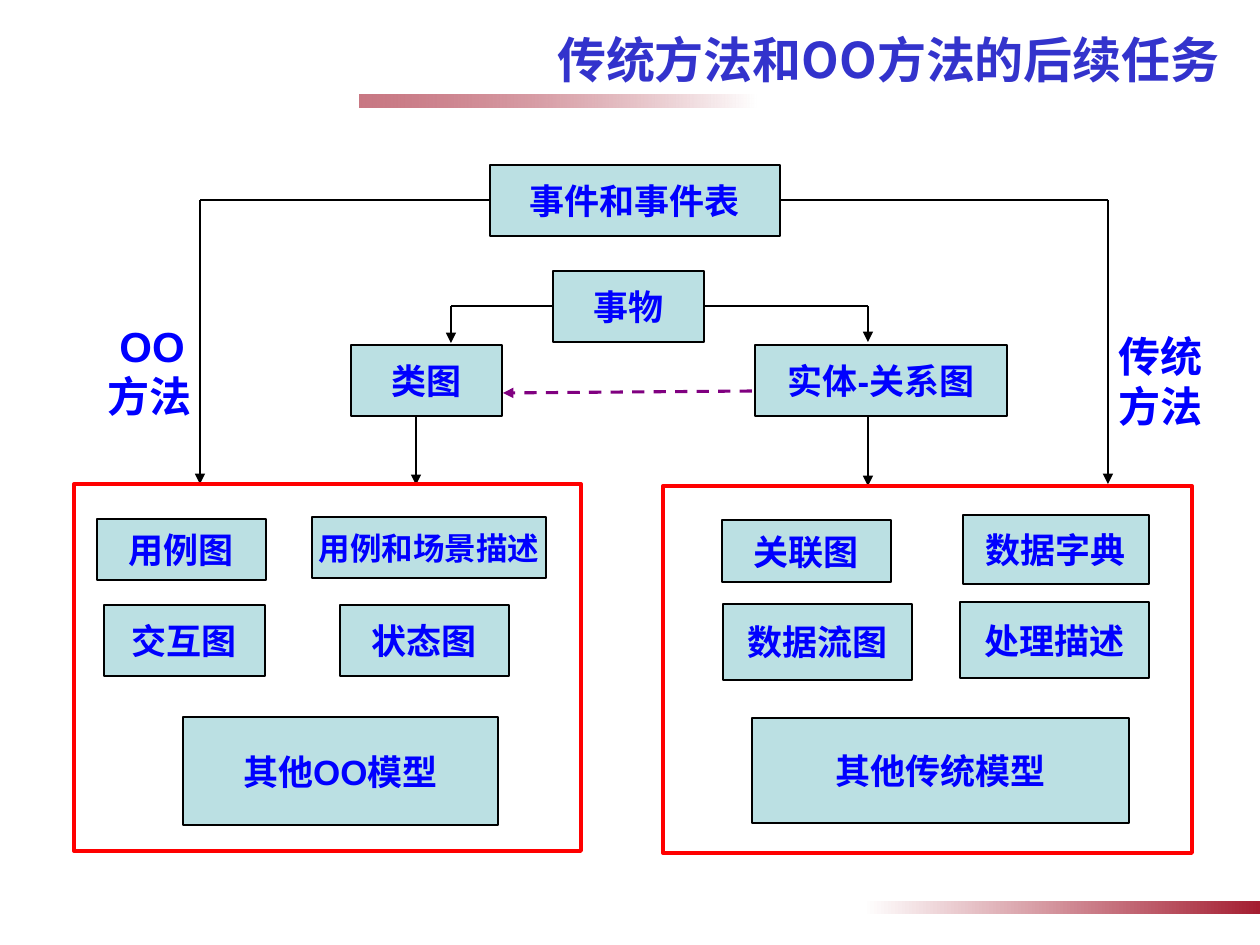
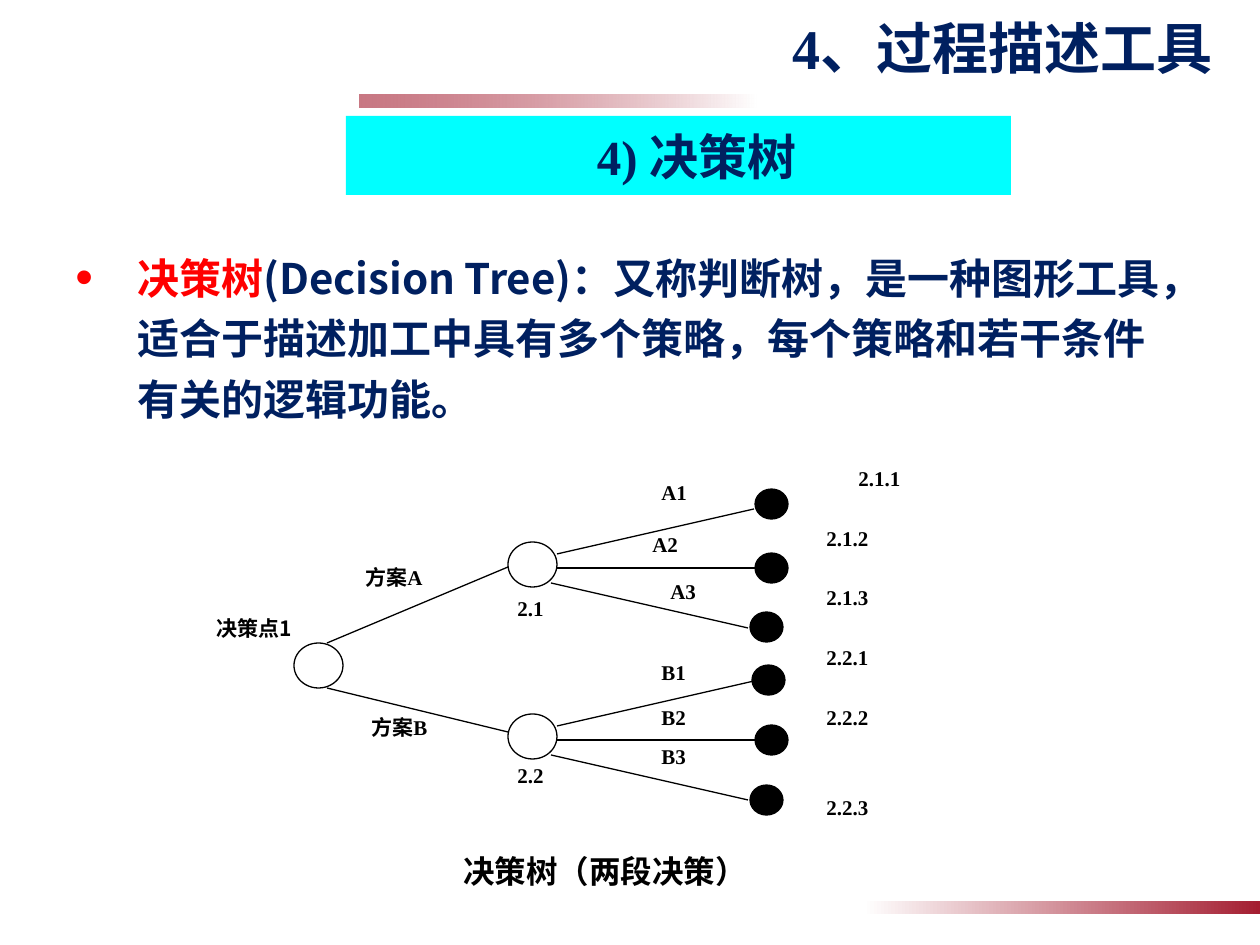
"""Build two slides on system modelling: follow-up tasks and decision trees."""
from dataclasses import dataclass

from lxml.etree import SubElement
from pptx import Presentation
from pptx.dml.color import RGBColor
from pptx.enum.dml import MSO_LINE
from pptx.enum.shapes import MSO_CONNECTOR, MSO_SHAPE as SHAPE
from pptx.enum.text import MSO_ANCHOR as ANCHOR, PP_ALIGN as ALIGN
from pptx.oxml.ns import qn
from pptx.util import Pt

PX = 914400 / 126


@dataclass(frozen=True)
class Theme:
    sans: str = "Arial"
    serif: str = "Times New Roman"
    cjk: str = "Noto Sans CJK SC"
    comic: str = "Comic Neue"
    black: str = "000000"
    white: str = "FFFFFF"
    red: str = "FF0000"
    blue: str = "0000FF"
    navy: str = "002060"
    title: str = "3333CC"
    box: str = "BBE0E3"
    purple: str = "800080"
    cyan: str = "00FFFF"
    band: str = "A41E31"
    huge: int = 32
    large: int = 28
    body: int = 24
    normal: int = 20
    medium: int = 18
    small: int = 12


T = Theme()

BANDS = [((359, 94, 397, 13), 180, 60), ((863, 901, 397, 13), 0, 100)]

TASK_TITLE = "传统方法和OO方法的后续任务"
TASK_BOXES = [
    ("事件和事件表", (490, 165, 290, 71), {}),
    ("事物", (553, 271, 151, 71), {}),
    ("类图", (351, 345, 151, 71), {}),
    ("实体-关系图", (755, 345, 252, 71), {}),
    ("用例图", (97, 519, 169, 61), {}),
    ("用例和场景描述", (312, 517, 234, 61), {"size": T.medium}),
    ("交互图", (104, 605, 161, 71), {}),
    ("状态图", (340, 605, 169, 71), {}),
    ("其他OO模型", (183, 717, 315, 108), {}),
    ("关联图", (722, 520, 169, 62), {}),
    ("数据字典", (963, 515, 186, 69), {}),
    ("数据流图", (723, 604, 189, 76), {}),
    ("处理描述", (960, 602, 189, 76), {}),
    ("其他传统模型", (752, 718, 377, 105), {"font": T.comic}),
]
MODEL_FRAMES = [(74, 484, 507, 367), (663, 486, 529, 367)]
TASK_ROUTES = [
    [(490, 200), (200, 200), (200, 484)],
    [(780, 200), (1108, 200), (1108, 484)],
    [(553, 306), (451, 306), (451, 343)],
    [(704, 306), (868, 306), (868, 342)],
    [(416, 416), (416, 485)],
    [(868, 416), (868, 486)],
]
ENTITY_TO_CLASS = [(752, 391), (503, 393)]
METHODS = [
    (["OO", "方法"], (95, 314, 268, 113), 12),
    (["传统", "方法"], (1106, 324, 150, 113), 0),
]

TREE_TITLE = "4、过程描述工具"
TREE_HEADING = "4) 决策树"
TREE_TEXT = [
    ("决策树", T.red),
    ("(Decision Tree)：又称判断树，是一种图形工具，适合于描述加工中具有多个策略，"
     "每个策略和若干条件有关的逻辑功能。", T.navy),
]
TREE_CAPTION = "决策树（两段决策）"
ROOT = (294, 643)
ROOT_LINES = [[(327, 643), (508, 567)], [(327, 688), (508, 732)]]
BRANCHES = [
    ((508, 542), [(755, 489), (755, 553), (750, 612)]),
    ((508, 714), [(752, 665), (755, 725), (750, 785)]),
]
FAN = [((49, 12), (246, -33)), ((49, 26), (247, 26)), ((43, 41), (240, 86))]
TREE_LABELS = [
    ("方案A", 353, 555), ("方案B", 359, 705),
    ("A1", 649, 470), ("A2", 640, 522), ("A3", 658, 569),
    ("B1", 649, 650), ("B2", 649, 695), ("B3", 649, 734),
    ("2.1", 505, 586), ("2.2", 505, 753),
]
LEAF_NUMBERS = ["2.1.1", "2.1.2", "2.1.3", "2.2.1", "2.2.2", "2.2.3"]


def emu(*values):
    return [round(v * PX) for v in values]


def rgb(value):
    return RGBColor.from_string(value)


def write(sp, paras, *, size=T.small, font=T.serif, color=T.black, align=ALIGN.LEFT,
          anchor=ANCHOR.MIDDLE, wrap=True):
    """Fill a shape with paragraphs, each a string or a list of (text, colour) runs."""
    tf = sp.text_frame
    tf.word_wrap = wrap
    tf.vertical_anchor = anchor
    for i, para in enumerate([paras] if isinstance(paras, str) else paras):
        p = tf.paragraphs[0] if i == 0 else tf.add_paragraph()
        p.alignment = align
        for text, ink in [(para, color)] if isinstance(para, str) else para:
            r = p.add_run()
            r.text = text
            r.font.size = Pt(size)
            r.font.name = font
            r.font.bold = True
            r.font.color.rgb = rgb(ink)
            SubElement(r.font._element, qn("a:ea")).set("typeface", T.cjk)
    return tf


def add_text(s, paras, at, **fmt):
    return write(s.shapes.add_textbox(*emu(*at)), paras, **fmt)


def add_shape(s, at, kind=SHAPE.RECTANGLE, fill=None, line=None, width=1.5):
    sp = s.shapes.add_shape(kind, *emu(*at))
    sp.shadow.inherit = False
    if fill:
        sp.fill.solid()
        sp.fill.fore_color.rgb = rgb(fill)
    else:
        sp.fill.background()
    if line:
        sp.line.color.rgb = rgb(line)
        sp.line.width = Pt(width)
    else:
        sp.line.fill.background()
    return sp


def add_line(s, start, end, color=T.black, width=1.5, dash=None, arrow=False):
    c = s.shapes.add_connector(MSO_CONNECTOR.STRAIGHT, *emu(*start, *end))
    c.line.color.rgb = rgb(color)
    c.line.width = Pt(width)
    if dash:
        c.line.dash_style = dash
    if arrow:
        SubElement(c.line._get_or_add_ln(), qn("a:tailEnd")).set("type", "triangle")
    SubElement(c._element.spPr, qn("a:effectLst"))


def add_route(s, points):
    for i, (start, end) in enumerate(zip(points, points[1:]), 2):
        add_line(s, start, end, arrow=i == len(points))


def add_slide(prs):
    s = prs.slides.add_slide(prs.slide_layouts[6])
    for at, turn, opacity in BANDS:
        sp = add_shape(s, at)
        sp.rotation = turn
        sp.fill.gradient()
        sp.fill.gradient_angle = 0
        for stop, color, position in zip(sp.fill.gradient_stops, (T.white, T.band), (0, 1)):
            stop.color.rgb = rgb(color)
            stop.position = position
        if opacity < 100:
            ink = sp._element.spPr.findall(".//" + qn("a:srgbClr"))[-1]
            SubElement(ink, qn("a:alpha")).set("val", str(opacity * 1000))
    return s


def build_tasks(prs):
    s = add_slide(prs)
    add_text(s, TASK_TITLE, (243, 0, 989, 118), size=T.large, font=T.cjk,
             color=T.title, align=ALIGN.RIGHT)
    for points in TASK_ROUTES:
        add_route(s, points)
    add_line(s, *ENTITY_TO_CLASS, color=T.purple, width=1.75, dash=MSO_LINE.DASH, arrow=True)
    for at in MODEL_FRAMES:
        add_shape(s, at, line=T.red, width=2.25)
    for text, at, extra in TASK_BOXES:
        fmt = {"size": T.normal, "font": T.sans, **extra}
        write(add_shape(s, at, fill=T.box, line=T.black), text, color=T.blue,
              align=ALIGN.CENTER, wrap=False, **fmt)
    for lines, at, indent in METHODS:
        tf = add_text(s, lines, at, size=T.body, font=T.sans, color=T.blue)
        tf.paragraphs[0]._p.get_or_add_pPr().set("marL", str(emu(indent)[0]))


def add_bullet(p, color, hang):
    pPr = p._p.get_or_add_pPr()
    pPr.set("marL", str(hang))
    pPr.set("indent", str(-hang))
    SubElement(SubElement(pPr, qn("a:buClr")), qn("a:srgbClr")).set("val", color)
    SubElement(pPr, qn("a:buSzPct")).set("val", "120000")
    SubElement(pPr, qn("a:buFont")).set("typeface", T.sans)
    SubElement(pPr, qn("a:buChar")).set("char", "•")


def add_node(s, corner, size, fill):
    add_shape(s, (*corner, *size), SHAPE.OVAL, fill, T.black, 0.75)


def build_tree(prs):
    s = add_slide(prs)
    add_text(s, TREE_TITLE, (541, 7, 684, 81), size=T.huge, color=T.navy, align=ALIGN.RIGHT)
    heading = add_shape(s, (346, 116, 665, 79), fill=T.cyan)
    write(heading, TREE_HEADING, size=T.large, color=T.navy,
          align=ALIGN.CENTER).margin_left = emu(49)[0]

    p = add_text(s, [TREE_TEXT], (63, 236, 1120, 200), size=T.body, font=T.cjk,
                 anchor=ANCHOR.TOP).paragraphs[0]
    add_bullet(p, T.red, emu(62)[0])
    p.line_spacing = Pt(34.6)

    for start, end in ROOT_LINES:
        add_line(s, start, end, width=0.75)
    add_node(s, ROOT, (49, 45), T.white)
    for (x, y), leaves in BRANCHES:
        for (x1, y1), (x2, y2) in FAN:
            add_line(s, (x + x1, y + y1), (x + x2, y + y2), width=0.75)
        add_node(s, (x, y), (49, 45), T.white)
        for leaf in leaves:
            add_node(s, leaf, (33, 30), T.black)

    add_text(s, "决策点1", (189, 606, 131, 45), font=T.cjk, align=ALIGN.CENTER)
    for text, x, y in TREE_LABELS:
        add_text(s, text, (x, y, 115, 45), align=ALIGN.JUSTIFY)
    tf = add_text(s, LEAF_NUMBERS, (814, 459, 131, 374), align=ALIGN.JUSTIFY,
                  anchor=ANCHOR.TOP)
    first, *middle, last = tf.paragraphs
    first.alignment = ALIGN.CENTER
    for p in middle:
        p.space_before = Pt(19.8)
    last.space_before = Pt(37)
    add_text(s, TREE_CAPTION, (451, 841, 460, 60), size=T.medium, align=ALIGN.JUSTIFY)


def main():
    prs = Presentation()
    prs.slide_width, prs.slide_height = emu(1260, 945)
    build_tasks(prs)
    build_tree(prs)
    prs.save("out.pptx")


if __name__ == "__main__":
    main()
